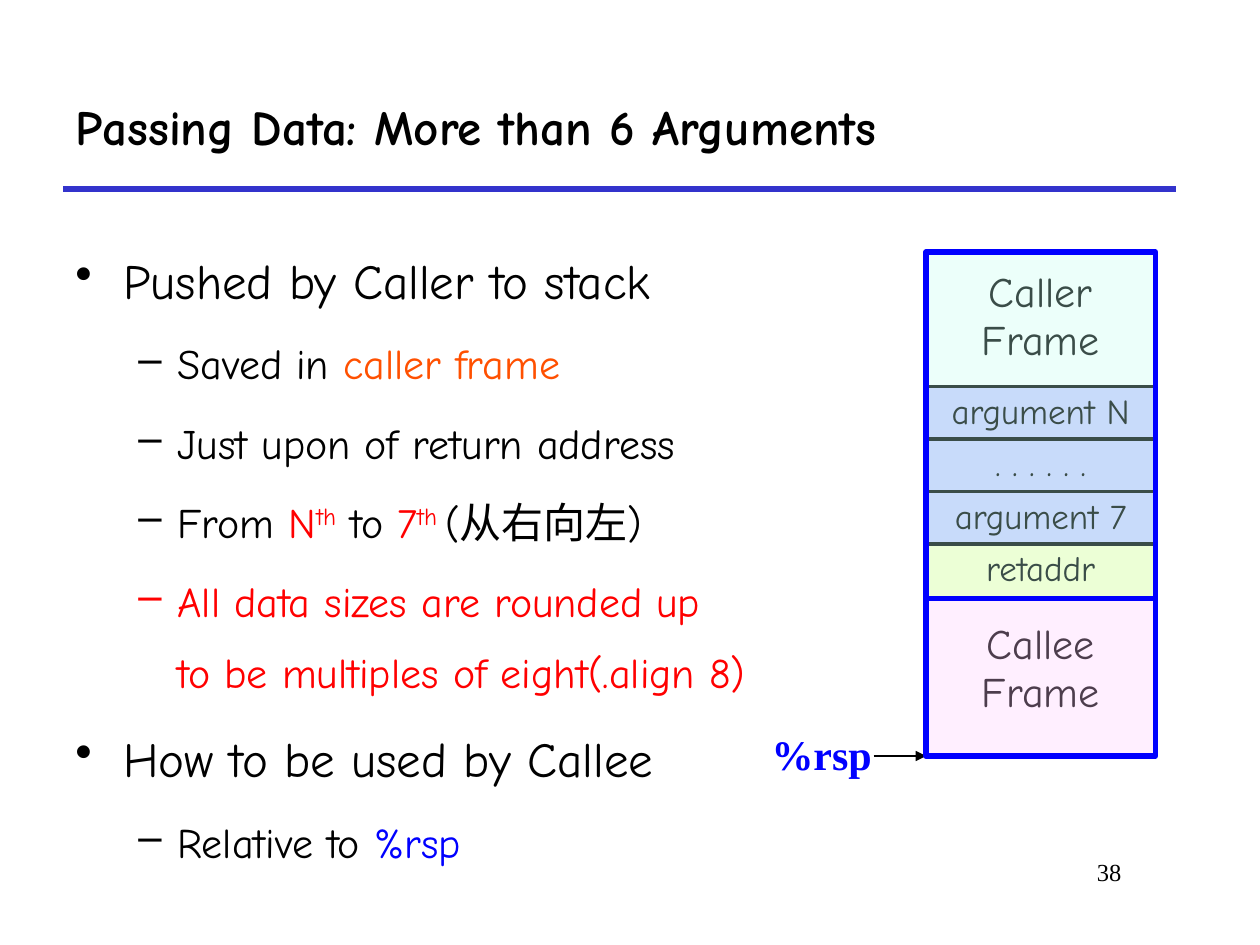
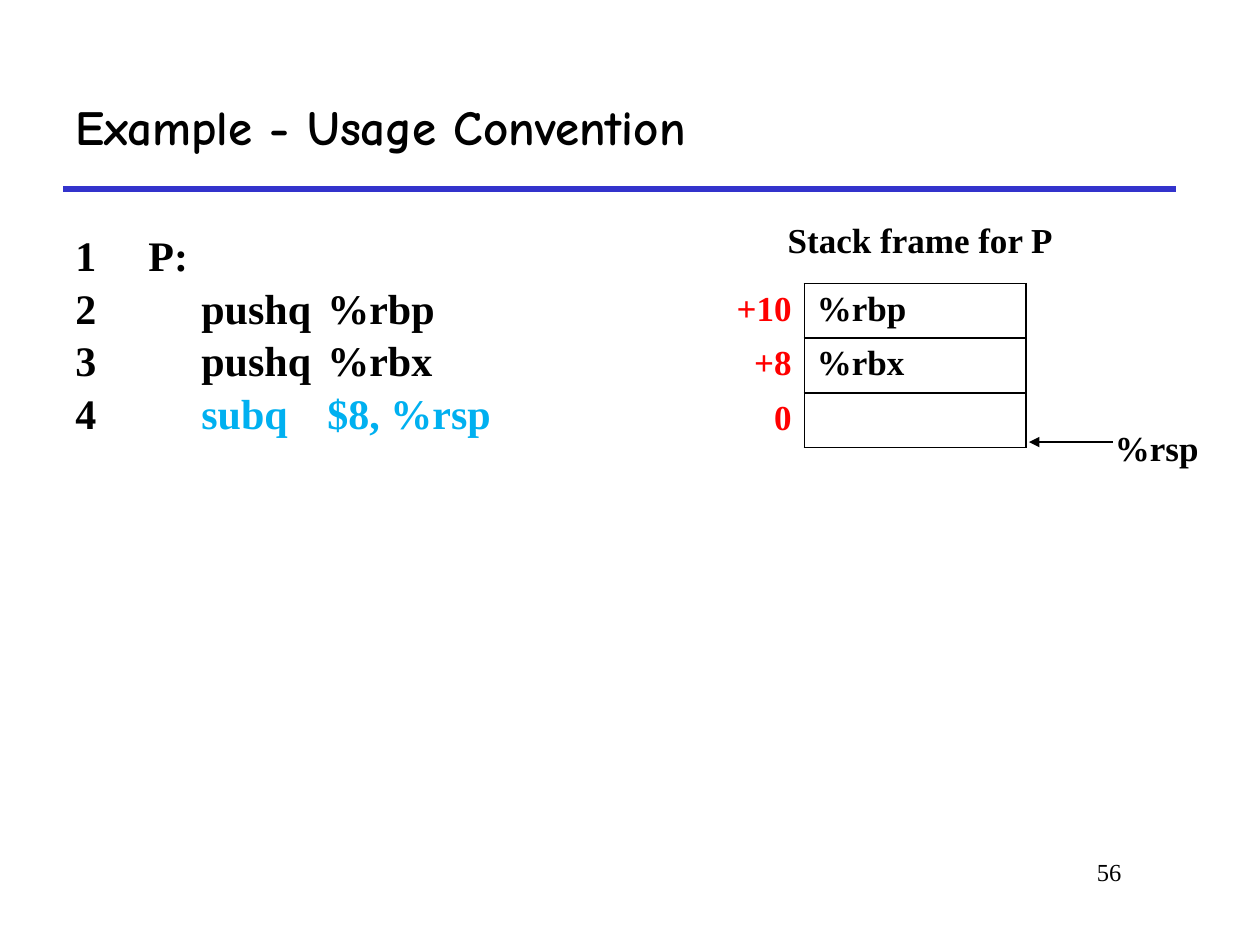
from lxml import etree
from pptx import Presentation, util as u
from pptx.dml.color import RGBColor
from pptx.enum import shapes, text
from pptx.oxml.ns import qn

BLACK = RGBColor(0x00, 0x00, 0x00)
RED = RGBColor(0xFF, 0x00, 0x00)
BLUE = RGBColor(0x00, 0x00, 0xFF)
ORANGE = RGBColor(0xFF, 0x50, 0x00)
SKY = RGBColor(0x00, 0xB0, 0xF0)
RULE = RGBColor(0x33, 0x33, 0xCC)
LILAC = RGBColor(0xCC, 0xCC, 0xFF)
CREAM = RGBColor(0xFF, 0xFF, 0xCC)
MINT = RGBColor(0xC2, 0xFF, 0xF0)
PINK = RGBColor(0xFF, 0xCC, 0xFF)
COMIC, TIMES = "Comic Neue", "Times New Roman"
LEFT, CENTER, RIGHT = text.PP_ALIGN.LEFT, text.PP_ALIGN.CENTER, text.PP_ALIGN.RIGHT

prs = Presentation()
prs.slide_width, prs.slide_height = u.Inches(10), u.Inches(7.5)
COL, ROW = prs.slide_width / 120, prs.slide_height / 90


def box(left, top, width, height):
    return [round(v * unit) for v, unit in zip((left, top, width, height), (COL, ROW, COL, ROW))]


def write(p, runs, align=LEFT, **base):
    p.alignment = align
    for words, extra in runs:
        fmt = {"name": TIMES, "size": 20, "bold": False, "color": BLACK, **base, **extra}
        for i, line in enumerate(words.split("\n")):
            if i:
                p.add_line_break()
            r = p.add_run()
            r.text = line
            r.font.color.rgb = fmt["color"]
            for key, value in {"name": fmt["name"], "size": u.Pt(fmt["size"]), "bold": fmt["bold"]}.items():
                setattr(r.font, key, value)
            if "raised" in fmt:
                r._r.get_or_add_rPr().set("baseline", "30000")


pages = [
    ("Passing Data: More than 6 Arguments", "38", (83.2, 72, 88.2, 72)),
    ("Example - Usage Convention", "56", (106, 42.1, 98, 42.1)),
]
slides = []
for title, number, arrow in pages:
    s = prs.slides.add_slide(prs.slide_layouts[5])
    slides.append(s)
    sp = s.shapes.title
    sp.left, sp.top, sp.width, sp.height = box(6, 6, 106, 12)
    sp.text_frame.vertical_anchor = text.MSO_ANCHOR.MIDDLE
    write(sp.text_frame.paragraphs[0], [(title, {})], name=COMIC, size=28, bold=True)
    sp = s.shapes.add_textbox(*box(91, 81, 17, 6))
    write(sp.text_frame.paragraphs[0], [(number, {})], RIGHT, size=14)
    for ends, color, width, head in [((6, 18, 112, 18), RULE, 3, False), (arrow, BLACK, 0.75, True)]:
        c = s.shapes.add_connector(shapes.MSO_CONNECTOR.STRAIGHT, *box(*ends))
        c.line.color.rgb = color
        c.line.width = u.Pt(width)
        if head:
            etree.SubElement(c._element.spPr.find(qn("a:ln")), qn("a:tailEnd"), type="triangle")
        etree.SubElement(c._element.spPr, qn("a:effectLst"))

passing, usage = slides

sp = passing.shapes.add_textbox(*box(6, 21, 110, 58))
tf = sp.text_frame
tf.word_wrap = True
points = [
    (0, [("Pushed by Caller to stack", {})]),
    (1, [("Saved in ", {}), ("caller frame", {"color": ORANGE})]),
    (1, [("Just upon of return address", {})]),
    (1, [("From ", {}), ("N", {"color": RED}), ("th", {"color": RED, "raised": True}), (" to ", {}),
         ("7", {"color": RED}), ("th ", {"color": RED, "raised": True}), ("(从右向左)", {})]),
    (1, [("All data sizes are rounded up\nto be multiples of eight(.align 8)", {"color": RED})]),
    (0, [("How to be used by Callee", {})]),
    (1, [("Relative to ", {}), ("%rsp", {"color": BLUE})]),
]
levels = [("•", 28, 0.38, -0.38), ("–", 24, 0.81, -0.31)]
for i, (level, runs) in enumerate(points):
    mark, size, margin, indent = levels[level]
    p = tf.add_paragraph() if i else tf.paragraphs[0]
    pPr = p._p.get_or_add_pPr()
    for key, value in {"marL": margin, "indent": indent}.items():
        pPr.set(key, str(u.Inches(value)))
    etree.SubElement(pPr, qn("a:buChar"), char=mark)
    p.level = level
    p.line_spacing = 1.4
    if i:
        p.space_before = u.Pt(5)
    write(p, runs, name=COMIC, size=size)

cells = []
FRAME_X, FRAME_W = 88.2, 21.84
frames = [("Caller\nFrame", 24, 33, MINT, 1.7), ("Callee\nFrame", 57, 15, PINK, 2.2)]
blocks = [(words, 36.8 + 5 * i, 5.16, 20, 0.6, fill) for i, (words, fill) in enumerate(
    [("argument N", LILAC), (". . . . . .", LILAC), ("argument 7", LILAC), ("retaddr", CREAM)])]
blocks += [(words, top, height, 24, inset, None) for words, top, height, _, inset in frames]
for words, top, height, size, inset, fill in blocks:
    table = passing.shapes.add_table(1, 1, *box(FRAME_X, top, FRAME_W, height)).table
    table.first_row = table.horz_banding = False
    cell = table.cell(0, 0)
    cell.margin_top = round(inset * ROW)
    write(cell.text_frame.paragraphs[0], [(words, {})], CENTER, name=COMIC, size=size)
    cells.append((cell, fill, ["L", "R", "T", "B"], 2.25))

for _, top, height, color, _ in frames:
    sp = passing.shapes.add_shape(shapes.MSO_SHAPE.RECTANGLE, *box(FRAME_X, top, FRAME_W, height))
    sp.shadow.inherit = False
    sp.fill.solid()
    sp.fill.fore_color.rgb = color
    etree.SubElement(sp._element.spPr.find(".//" + qn("a:srgbClr")), qn("a:alpha"), val="30000")
    sp.line.color.rgb = BLUE
    sp.line.width = u.Pt(3)

code = [
    [("1\tP:", {})],
    [("2\tpushq\t%rbp", {})],
    [("3\tpushq\t%rbx", {})],
    [("4\t", {}), ("subq\t$8, %rsp", {"color": SKY})],
]
tf = usage.shapes.add_textbox(*box(6, 21, 104, 61)).text_frame
tf.word_wrap = True
for i, runs in enumerate(code):
    p = tf.add_paragraph() if i else tf.paragraphs[0]
    tabs = etree.SubElement(p._p.get_or_add_pPr(), qn("a:tabLst"))
    for stop in ([1, 2] if i else [0.58]):
        etree.SubElement(tabs, qn("a:tab"), pos=str(u.Inches(stop)), algn="l")
    p.line_spacing = 1.05
    write(p, runs, size=24, bold=True)

stack = [("+10", "%rbp"), ("+8", "%rbx"), ("0", "")]
table = usage.shapes.add_table(3, 2, *box(67.7, 27, 30, 15.5)).table
table.first_row = table.horz_banding = False
for column, width in zip(table.columns, (8.9, 21.1)):
    column.width = round(width * COL)
for i, (offset, register) in enumerate(stack):
    for j, (words, align, color, sides) in enumerate(
            [(offset, RIGHT, RED, ["R"]), (register, LEFT, BLACK, ["L", "R", "T", "B"])]):
        cell = table.cell(i, j)
        if words:
            write(cell.text_frame.paragraphs[0], [(words, {})], align, color=color, bold=True)
        cells.append((cell, None, sides, 1))

for cell, fill, sides, width in cells:
    tcPr = cell._tc.get_or_add_tcPr()
    for side in ["L", "R", "T", "B"]:
        ln = etree.SubElement(tcPr, qn("a:ln" + side), w=str(u.Pt(width)))
        if side in sides:
            solid = etree.SubElement(ln, qn("a:solidFill"))
            etree.SubElement(solid, qn("a:srgbClr"), val=str(BLACK))
        else:
            etree.SubElement(ln, qn("a:noFill"))
    if fill:
        cell.fill.solid()
        cell.fill.fore_color.rgb = fill
    else:
        cell.fill.background()

labels = [
    (passing, "%rsp", (72.3, 68.8, 12, 6), LEFT, 24, BLUE),
    (usage, "Stack frame for P", (70, 20.2, 35.3, 5.2), CENTER, 20, BLACK),
    (usage, "%rsp", (105, 40, 10.5, 5.2), LEFT, 20, BLACK),
]
for s, words, place, align, size, color in labels:
    tf = s.shapes.add_textbox(*box(*place)).text_frame
    tf.word_wrap = True
    write(tf.paragraphs[0], [(words, {})], align, size=size, color=color, bold=True)

prs.save("out.pptx")
